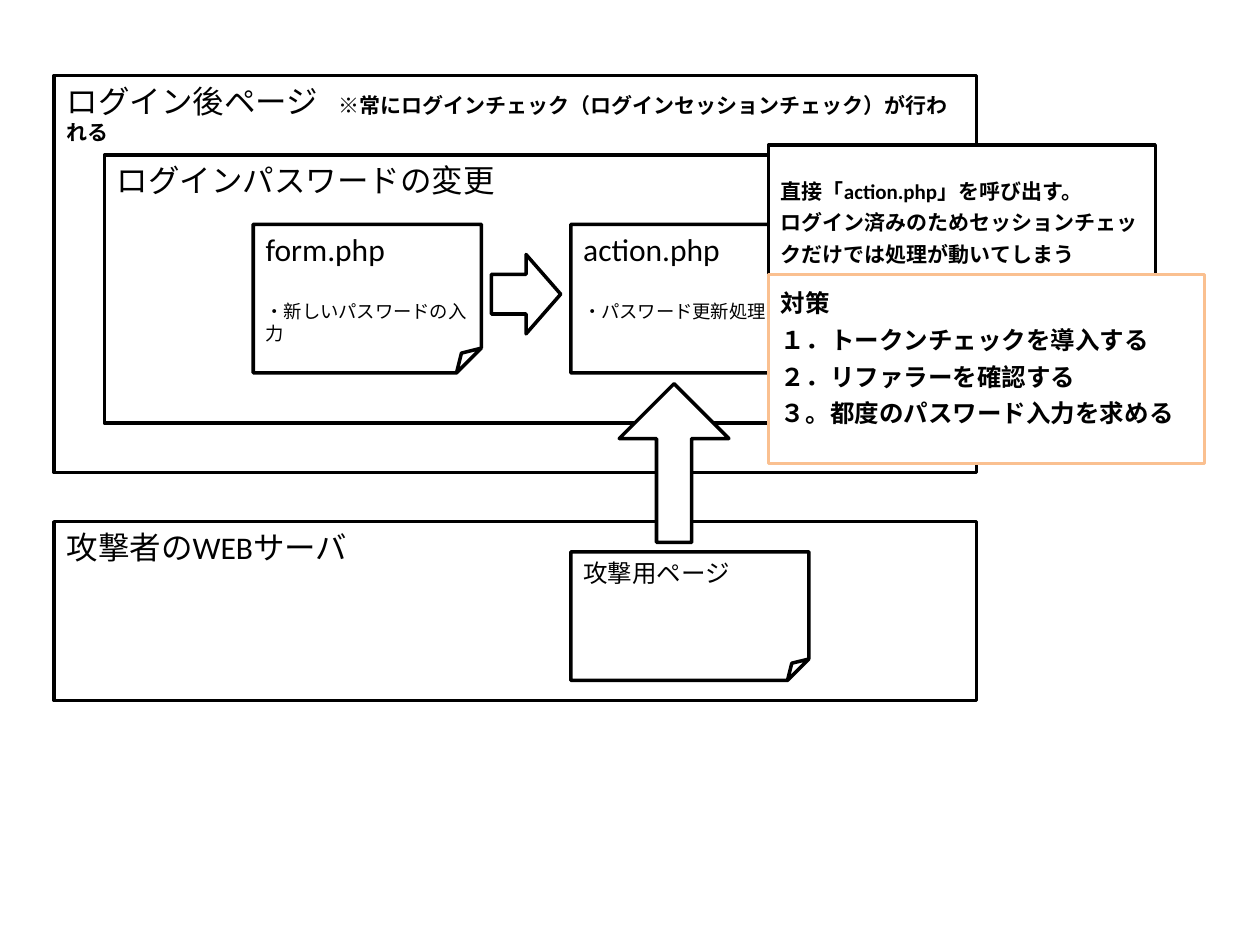
from pptx import Presentation
from pptx.dml.color import RGBColor
from pptx.enum.shapes import MSO_SHAPE
from pptx.enum.text import MSO_ANCHOR, PP_ALIGN
from pptx.util import Inches, Pt

# Grid: 100 columns by 75 rows on a 10 by 7.5 inch slide
SLIDE_WIDTH, SLIDE_HEIGHT = Inches(10), Inches(7.5)
COLUMN, ROW = SLIDE_WIDTH / 100, SLIDE_HEIGHT / 75
FONT = "Calibri"
BLACK, WHITE, ORANGE = "000000", "FFFFFF", "FAC090"


def color(hex_string):
    return RGBColor.from_string(hex_string)


def inside(box, left, top, width, height):
    """Turn a place relative to a box into a place on the slide grid."""
    return box[0] + left, box[1] + top, width, height


def to_lengths(box):
    left, top, width, height = box
    return (round(left * COLUMN), round(top * ROW),
            round(width * COLUMN), round(height * ROW))


def write(shape, paragraphs, anchor=MSO_ANCHOR.TOP, spacing=None):
    """Fill a shape with paragraphs, each a list of (text, size, bold) runs."""
    text_frame = shape.text_frame
    text_frame.word_wrap = True
    text_frame.vertical_anchor = anchor
    for index, runs in enumerate(paragraphs):
        paragraph = text_frame.add_paragraph() if index else text_frame.paragraphs[0]
        paragraph.alignment = PP_ALIGN.LEFT
        paragraph.line_spacing = spacing
        for text, size, bold in runs:
            run = paragraph.add_run()
            run.text = text
            run.font.name = FONT
            run.font.size = Pt(size)
            run.font.bold = bold
            run.font.color.rgb = color(BLACK)


def add_outline(slide, kind, box, line=BLACK, fill=None):
    shape = slide.shapes.add_shape(kind, *to_lengths(box))
    shape.shadow.inherit = False
    if fill:
        shape.fill.solid()
        shape.fill.fore_color.rgb = color(fill)
    else:
        shape.fill.background()
    shape.line.color.rgb = color(line)
    shape.line.width = Pt(2)
    return shape


def add_panel(slide, box, runs):
    write(add_outline(slide, MSO_SHAPE.RECTANGLE, box), [runs])


def add_page(slide, box, title, size, detail=None):
    """A page with a folded corner and an optional detail line."""
    write(add_outline(slide, MSO_SHAPE.FOLDED_CORNER, box), [[(title, size, False)]])
    if detail:
        text_box = slide.shapes.add_textbox(
            *to_lengths(inside(box, 0, 5.5, box[2], 10.2)))
        write(text_box, [[(detail, 10.5, False)]])


def add_member_site(slide, box):
    """Pages behind the login, with the password change flow."""
    add_panel(slide, box, [
        ("ログイン後ページ", 18, False),
        ("\u3000※常にログインチェック（ログインセッションチェック）が行われる".replace("\u3000", "　"), 12, True),
    ])
    change = inside(box, 4, 6.3, 63, 21.3)
    add_panel(slide, change, [("ログインパスワードの変更", 18, False)])
    pages = [("form.php", "・新しいパスワードの入力"),
             ("action.php", "・パスワード更新処理")]
    for index, (title, detail) in enumerate(pages):
        page = inside(change, 11.8 + 25.2 * index, 5.5, 18.1, 11.8)
        add_page(slide, page, title, 18, detail)
    add_outline(slide, MSO_SHAPE.RIGHT_ARROW, inside(change, 30.7, 7.9, 5.5, 6.3))


def add_attacker_site(slide, box):
    """The attacker's server, with an arrow up to action.php."""
    add_panel(slide, box, [("攻撃者のWEBサーバ", 18, False)])
    add_page(slide, inside(box, 41, 2.4, 18.9, 10.2), "攻撃用ページ", 14)
    arrow = add_outline(slide, MSO_SHAPE.RIGHT_ARROW,
                        inside(box, 42.9, -9, 12.6, 8.7), fill=WHITE)
    arrow.adjustments[0] = 0.32
    arrow.rotation = 270


def add_note(slide, box, lines, size, line, anchor):
    note = add_outline(slide, MSO_SHAPE.RECTANGLE, box, line, WHITE)
    write(note, [[(text, size, True)] for text in lines], anchor, 1.25)


def main():
    presentation = Presentation()
    presentation.slide_width, presentation.slide_height = SLIDE_WIDTH, SLIDE_HEIGHT
    slide = presentation.slides.add_slide(presentation.slide_layouts[6])

    # The two sites
    add_member_site(slide, (4.3, 6, 73.2, 31.5))
    add_attacker_site(slide, (4.3, 41.4, 73.2, 14.2))

    # Problem and countermeasures
    add_note(slide, (61, 11.5, 30.7, 11.8),
             ["直接「action.php」を呼び出す。",
              "ログイン済みのためセッションチェックだけでは処理が動いてしまう"],
             12, BLACK, MSO_ANCHOR.MIDDLE)
    add_note(slide, (61, 21.8, 34.6, 15),
             ["対策", "１．トークンチェックを導入する",
              "２．リファラーを確認する", "３。都度のパスワード入力を求める"],
             14, ORANGE, MSO_ANCHOR.TOP)

    presentation.save("out.pptx")


if __name__ == "__main__":
    main()
